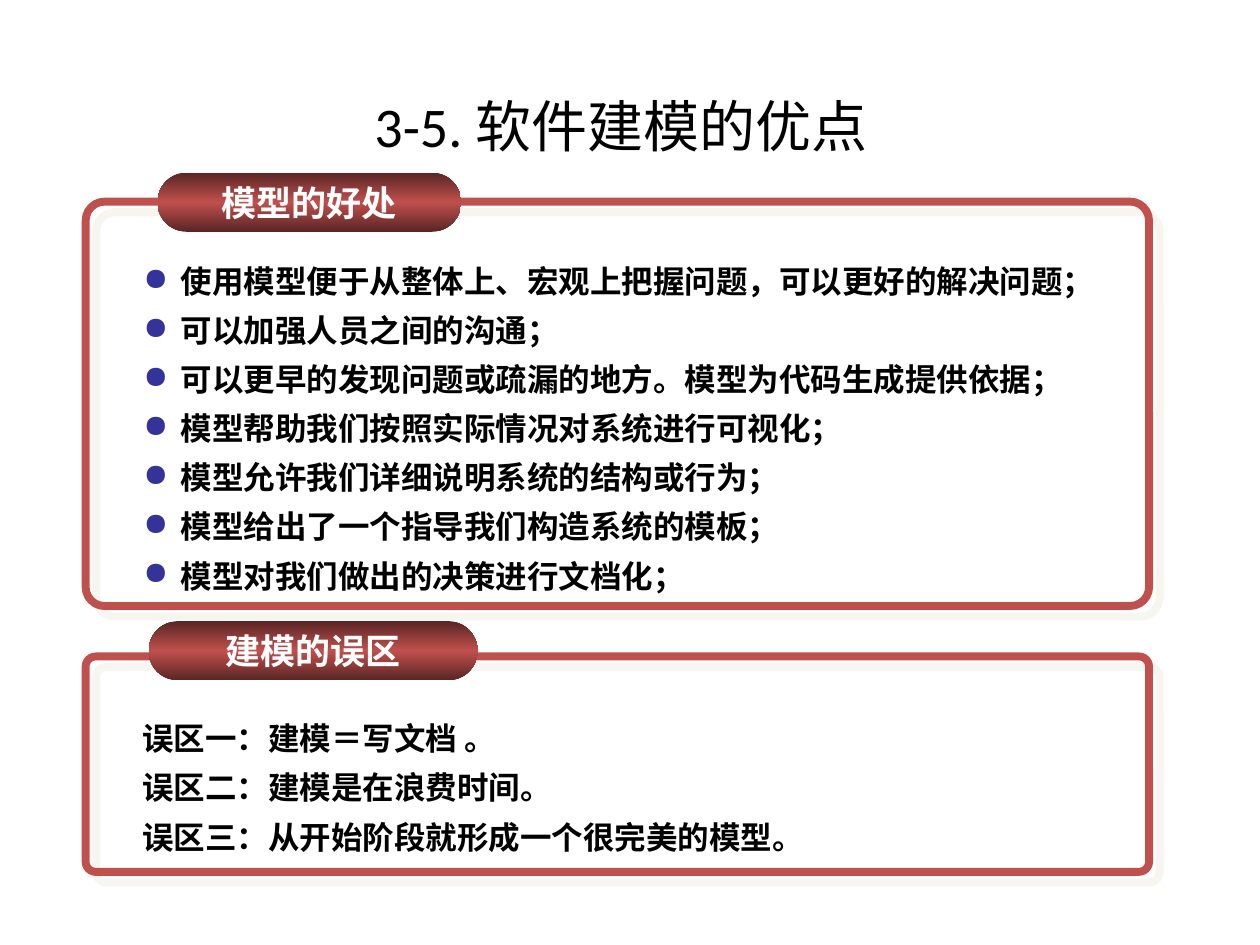
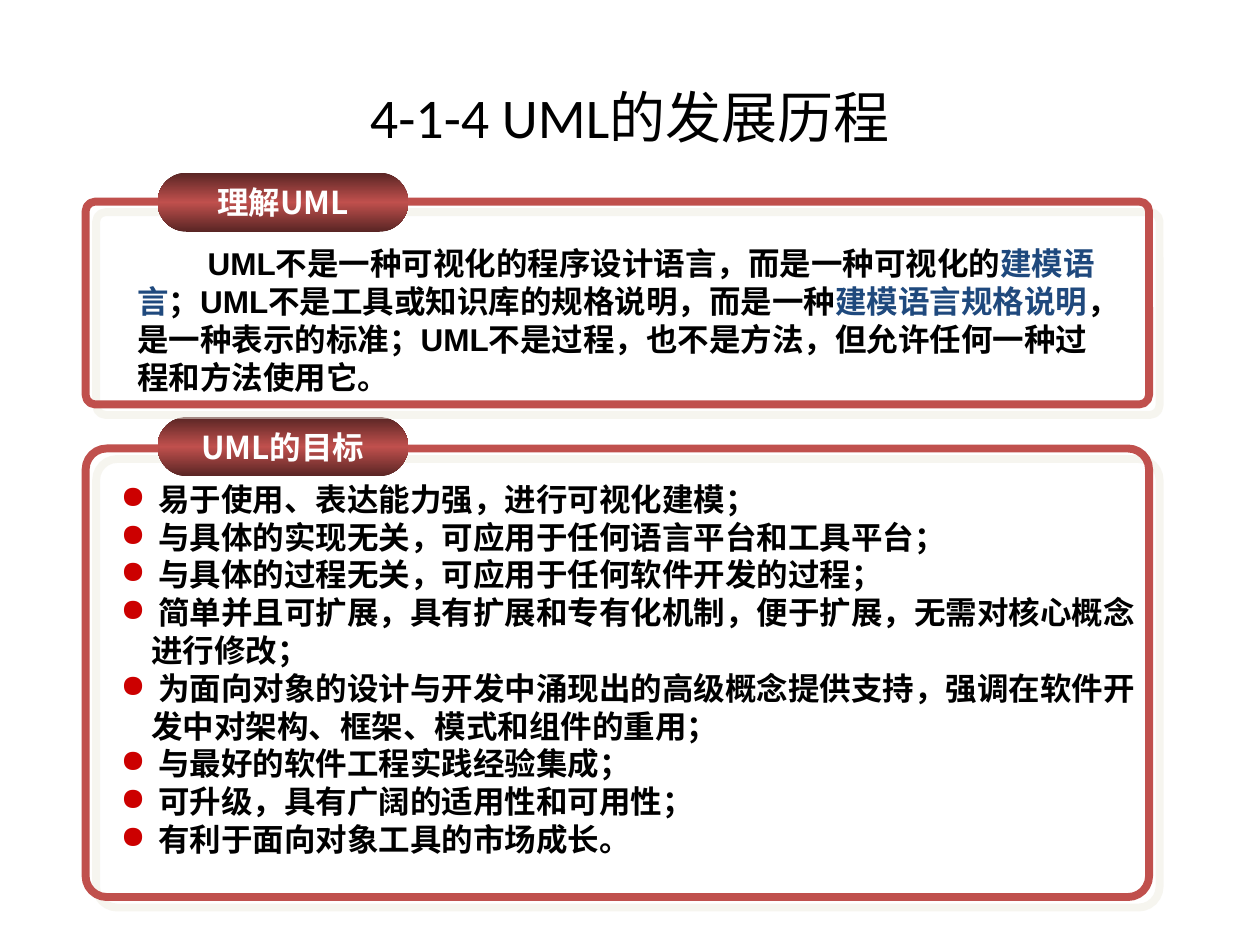
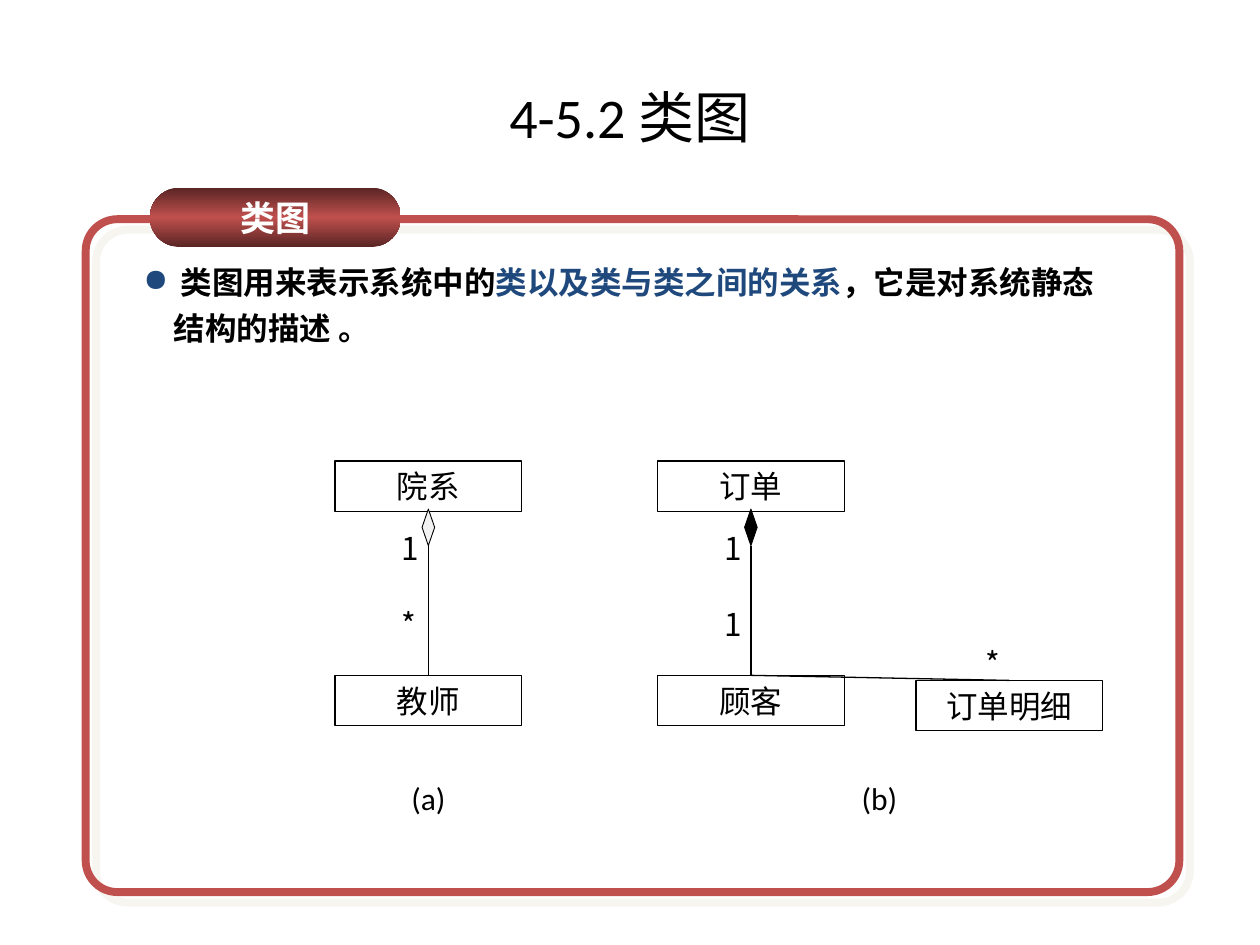
from pptx import Presentation
from pptx.dml.color import RGBColor
from pptx.enum import shapes, text
from pptx.oxml import parse_xml
from pptx.oxml.ns import nsdecls, qn
from pptx.util import Inches, Pt

RED, DARK_RED, SHADOW = "C0504D", "592524", "EEECE1"
BLACK, WHITE, NAVY, INDIGO, CRIMSON = "000000", "FFFFFF", "1F497D", "333399", "CC0000"
PALE = "F2F2F2"
SANS, BODY, HEAD = "Noto Sans CJK SC", "Arial", "Calibri"
HANG = 0.24
PANEL_LEFT = 0.68

PAGES = [
    {
        "title": "3-5. 软件建模的优点",
        "title_at": (0.43, 0.37, 9, 1.25),
        "panels": [
            {
                "frame": (5.21, 8.44, 1.71),
                "pill": ("建模的误区", 20, (1.18, 4.93, 2.61, 0.47)),
                "body_at": (1.03, 5.57, 7.88, 1.27),
                "format": {"spacing": 1.3},
                "lines": [
                    "误区一：建模＝写文档 。",
                    "误区二：建模是在浪费时间。",
                    "误区三：从开始阶段就形成一个很完美的模型。",
                ],
            },
            {
                "frame": (1.6, 8.44, 3.21),
                "pill": ("模型的好处", 20, (1.25, 1.37, 2.41, 0.47)),
                "body_at": (1.04, 1.94, 7.88, 2.83),
                "format": {"spacing": 1.3, "bullet": INDIGO},
                "lines": [
                    " 使用模型便于从整体上、宏观上把握问题，可以更好的解决问题；",
                    " 可以加强人员之间的沟通；",
                    " 可以更早的发现问题或疏漏的地方。模型为代码生成提供依据；",
                    " 模型帮助我们按照实际情况对系统进行可视化；",
                    " 模型允许我们详细说明系统的结构或行为；",
                    " 模型给出了一个指导我们构造系统的模板；",
                    " 模型对我们做出的决策进行文档化；",
                ],
            },
        ],
    },
    {
        "title": "4-1-4 UML的发展历程",
        "title_at": (0.5, 0.3, 9, 1.25),
        "panels": [
            {
                "frame": (3.56, 8.44, 3.56),
                "pill": ("UML的目标", 18, (1.25, 3.31, 1.99, 0.47)),
                "body_at": (0.86, 3.76, 8.25, 3.1),
                "format": {"bullet": CRIMSON},
                "lines": [
                    " 易于使用、表达能力强，进行可视化建模；",
                    " 与具体的实现无关，可应用于任何语言平台和工具平台；",
                    " 与具体的过程无关，可应用于任何软件开发的过程；",
                    " 简单并且可扩展，具有扩展和专有化机制，便于扩展，无需对核心概念进行修改；",
                    " 为面向对象的设计与开发中涌现出的高级概念提供支持，强调在软件开发中对架构、框架、模式和组件的重用；",
                    " 与最好的软件工程实践经验集成；",
                    " 可升级，具有广阔的适用性和可用性；",
                    " 有利于面向对象工具的市场成长。",
                ],
            },
            {
                "frame": (1.6, 8.44, 1.61),
                "pill": ("理解UML", 18, (1.25, 1.37, 1.99, 0.47)),
                "body_at": (0.99, 1.89, 7.88, 1.3),
                "format": {"indent": 0.56},
                "lines": [
                    "UML不是一种可视化的程序设计语言，而是一种可视化的|建模语言|；"
                    "UML不是工具或知识库的规格说明，而是一种|建模语言规格说明|，"
                    "是一种表示的标准；UML不是过程，也不是方法，但允许任何一种过程和方法使用它。",
                ],
            },
        ],
    },
    {
        "title": "4-5.2 类图",
        "title_at": (0.5, 0.3, 9, 1.25),
        "panels": [
            {
                "frame": (1.74, 8.68, 5.34),
                "pill": ("类图", 20, (1.19, 1.49, 1.99, 0.47)),
                "body_at": (1.04, 1.98, 7.88, 0.82),
                "format": {"spacing": 1.2, "bullet": NAVY},
                "lines": [" 类图用来表示系统中的|类以及类与类之间的关系|，它是对系统静态结构的描述 。"],
            },
        ],
    },
]

CLASS_SIZE = (1.48, 0.4)
CLASSES = {
    "院系": (2.66, 3.66),
    "教师": (2.66, 5.36),
    "订单": (5.22, 3.66),
    "顾客": (5.22, 5.36),
    "订单明细": (7.27, 5.4),
}
AGGREGATIONS = [("院系", "教师", PALE), ("订单", "顾客", BLACK)]
ASSOCIATION = ("顾客", "订单明细")
MULTIPLICITIES = [("1", 3.17, 4.15), ("*", 3.17, 4.75), ("1", 5.73, 4.15), ("1", 5.73, 4.75), ("*", 7.8, 5.06)]
CAPTIONS = [("(a)", 2.94), ("(b)", 6.52)]


def color(value):
    return RGBColor.from_string(value)


def inches(values):
    return [Inches(value) for value in values]


def style(font, size, name, tint=BLACK, bold=False):
    for key, value in {"size": Pt(size), "name": name, "bold": bold}.items():
        setattr(font, key, value)
    font.color.rgb = color(tint)


def set_frame(frame, inset=0.1, anchor=text.MSO_ANCHOR.TOP, wrap=True):
    values = {
        "margin_left": Inches(inset),
        "margin_right": Inches(inset),
        "margin_top": Inches(0.05),
        "margin_bottom": Inches(0.05),
        "vertical_anchor": anchor,
        "word_wrap": wrap,
        "auto_size": text.MSO_AUTO_SIZE.NONE,
    }
    for key, value in values.items():
        setattr(frame, key, value)


def write(para, words, size, name, tint=BLACK, bold=False, centered=True):
    if centered:
        para.alignment = text.PP_ALIGN.CENTER
    for index, part in enumerate(words.split("|")):
        span = para.add_run()
        span.text = part
        style(span.font, size, name, NAVY if index % 2 else tint, bold)


def add_label(page, words, at, name, inset=0.1, centered=True):
    box = page.shapes.add_textbox(*inches(at))
    set_frame(box.text_frame, inset)
    write(box.text_frame.paragraphs[0], words, 18, name, centered=centered)


def add_box(page, kind, at, line=None, width=0.75, fill=None):
    box = page.shapes.add_shape(kind, *inches(at))
    box.shadow.inherit = False
    if fill:
        box.fill.solid()
        box.fill.fore_color.rgb = color(fill)
    else:
        box.fill.background()
    if line:
        box.line.color.rgb = color(line)
        box.line.width = Pt(width)
    else:
        box.line.fill.background()
    return box


def add_frame(page, top, width, height):
    box = add_box(page, shapes.MSO_SHAPE.ROUNDED_RECTANGLE, (PANEL_LEFT, top, width, height), RED, 4.5)
    box.adjustments[0] = 0.047
    effects = box._element.spPr.find(qn("a:effectLst"))
    effects.append(parse_xml(
        f'<a:outerShdw {nsdecls("a")} dist="{Pt(8.5)}" dir="2700000" algn="ctr" rotWithShape="0">'
        f'<a:srgbClr val="{SHADOW}"><a:alpha val="50000"/></a:srgbClr></a:outerShdw>'))


def add_pill(page, words, size, at):
    box = add_box(page, shapes.MSO_SHAPE.ROUNDED_RECTANGLE, at)
    box.adjustments[0] = 0.5
    properties = box._element.spPr
    stops = "".join(
        f'<a:gs pos="{place}"><a:srgbClr val="{tint}"/></a:gs>'
        for place, tint in ((0, DARK_RED), (50000, RED), (100000, DARK_RED)))
    properties.replace(properties.find(qn("a:noFill")), parse_xml(
        f'<a:gradFill {nsdecls("a")} rotWithShape="1"><a:gsLst>{stops}</a:gsLst>'
        '<a:lin ang="5400000" scaled="1"/></a:gradFill>'))
    set_frame(box.text_frame, anchor=text.MSO_ANCHOR.MIDDLE, wrap=False)
    write(box.text_frame.paragraphs[0], words, size, SANS, WHITE, True)


def set_indent(para, left, first, bullet=None):
    properties = para._p.get_or_add_pPr()
    properties.set("marL", str(Inches(left)))
    properties.set("indent", str(Inches(first)))
    if bullet:
        properties.append(parse_xml(
            f'<a:buClr {nsdecls("a")}><a:srgbClr val="{bullet}"/></a:buClr>'))
        properties.append(parse_xml(f'<a:buChar {nsdecls("a")} char="●"/>'))


def add_body(page, at, lines, spacing=1.0, bullet=None, indent=0):
    box = page.shapes.add_textbox(*inches(at))
    frame = box.text_frame
    set_frame(frame)
    for index, words in enumerate(lines):
        para = frame.add_paragraph() if index else frame.paragraphs[0]
        para.line_spacing = spacing
        if bullet:
            set_indent(para, HANG, -HANG, bullet)
        else:
            set_indent(para, 0, indent)
        write(para, words, 18, BODY, bold=True, centered=False)


def add_link(page, start, start_side, end, end_side):
    link = page.shapes.add_connector(shapes.MSO_CONNECTOR.STRAIGHT, 0, 0, 0, 0)
    link.begin_connect(start, start_side)
    link.end_connect(end, end_side)
    link.line.color.rgb = color(BLACK)
    link.line.width = Pt(0.75)
    link._element.spPr.append(parse_xml(f'<a:effectLst {nsdecls("a")}/>'))


def add_class_diagram(page):
    boxes = {}
    for name, corner in CLASSES.items():
        box = add_box(page, shapes.MSO_SHAPE.RECTANGLE, corner + CLASS_SIZE, BLACK)
        set_frame(box.text_frame, 0.02, text.MSO_ANCHOR.MIDDLE)
        write(box.text_frame.paragraphs[0], name, 18, SANS)
        boxes[name] = box
    for whole, part, fill in AGGREGATIONS:
        left, top = CLASSES[whole]
        at = (left + CLASS_SIZE[0] / 2 - 0.05, top + 0.38, 0.1, 0.29)
        diamond = add_box(page, shapes.MSO_SHAPE.DIAMOND, at, BLACK, 0.5, fill)
        add_link(page, diamond, 2, boxes[part], 0)
    start, end = ASSOCIATION
    add_link(page, boxes[start], 0, boxes[end], 0)
    for mark, left, top in MULTIPLICITIES:
        add_label(page, mark, (left, top, 0.21, 0.4), SANS, 0.02, False)
    for caption, left in CAPTIONS:
        add_label(page, caption, (left, 6.13, 0.92, 0.4), HEAD)


def add_page(deck, content):
    page = deck.slides.add_slide(deck.slide_layouts[5])
    title = page.shapes.title
    title.left, title.top, title.width, title.height = inches(content["title_at"])
    set_frame(title.text_frame, anchor=text.MSO_ANCHOR.MIDDLE)
    write(title.text_frame.paragraphs[0], content["title"], 32, HEAD)
    for panel in content["panels"]:
        add_body(page, panel["body_at"], panel["lines"], **panel["format"])
        add_frame(page, *panel["frame"])
        add_pill(page, *panel["pill"])
    return page


def main():
    deck = Presentation()
    deck.slide_width, deck.slide_height = Inches(10), Inches(7.5)
    pages = [add_page(deck, content) for content in PAGES]
    add_class_diagram(pages[-1])
    deck.save("out.pptx")


if __name__ == "__main__":
    main()
